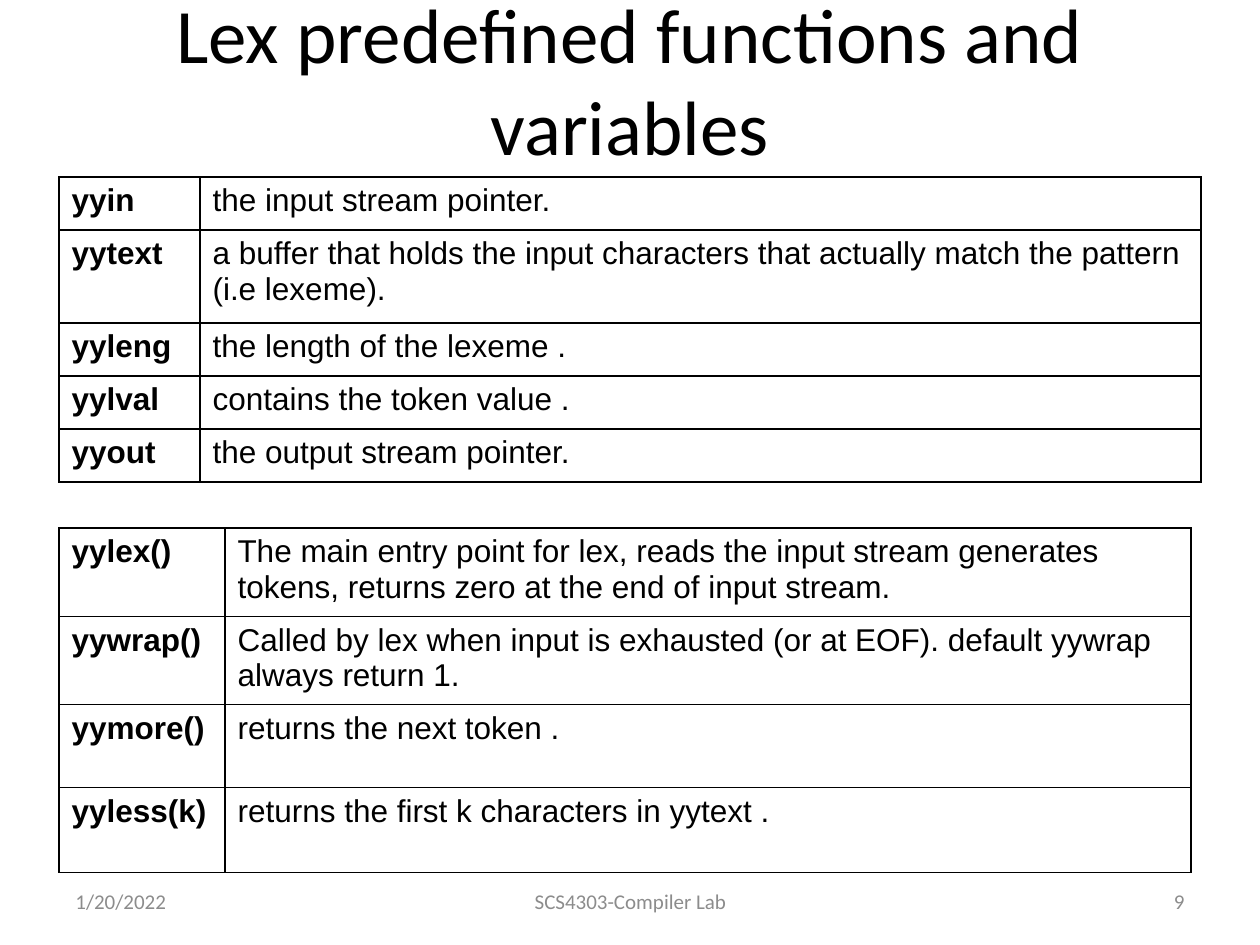
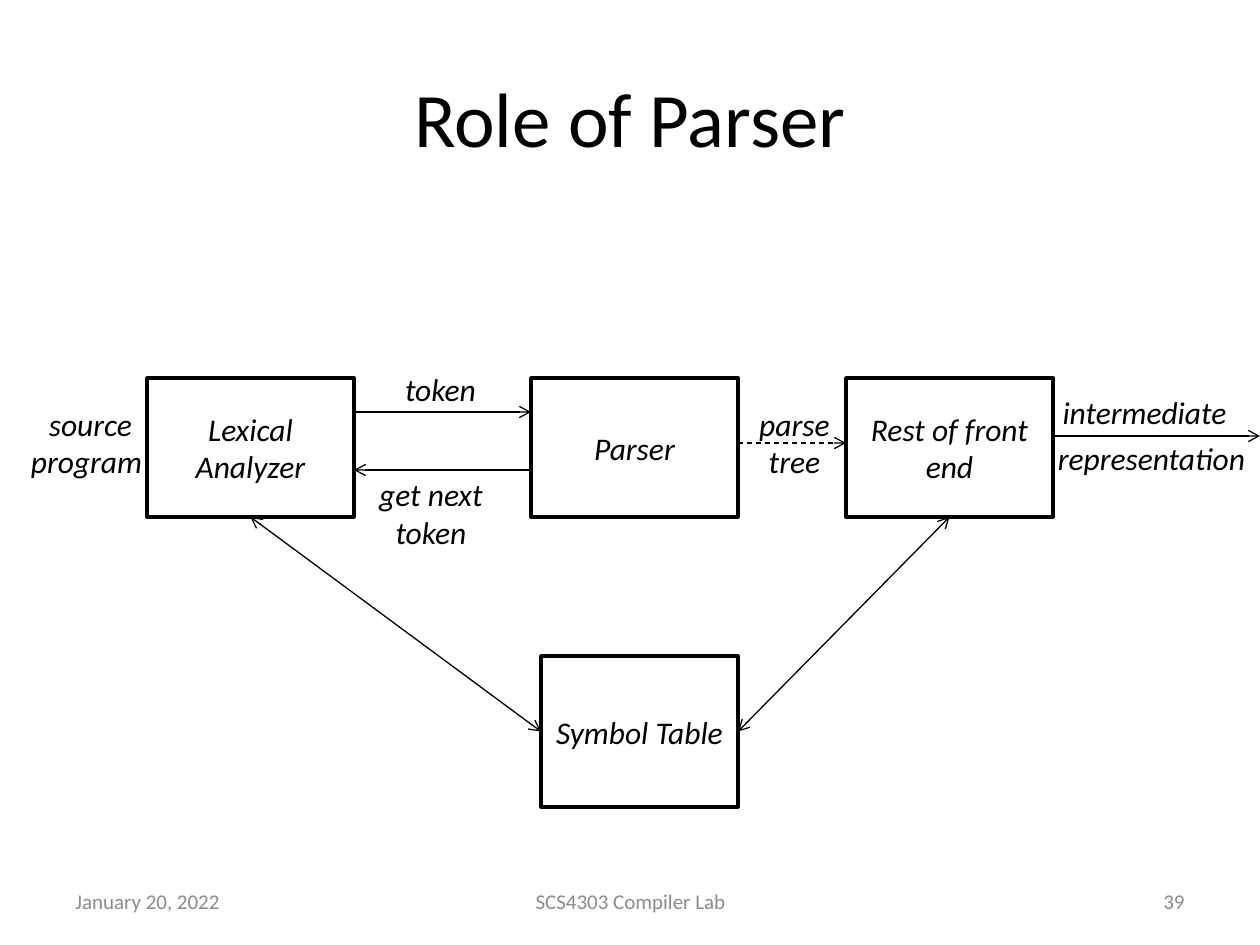
from collections import namedtuple

from lxml.etree import SubElement
from pptx import Presentation
from pptx.dml.color import RGBColor
from pptx.enum.dml import MSO_LINE
from pptx.enum.shapes import MSO_CONNECTOR, MSO_SHAPE
from pptx.enum.text import MSO_ANCHOR, MSO_AUTO_SIZE, PP_ALIGN
from pptx.oxml.ns import qn
from pptx.util import Pt

EMU_PER_PX = 914400 / 126
COLORS = {"ink": "000000", "paper": "FFFFFF", "footer": "8C8C8C"}
Box = namedtuple("Box", "left top width height")

VARIABLES = [
    ("yyin", "the input stream pointer.", 53),
    ("yytext", "a buffer that holds the input characters that actually match "
               "the pattern (i.e lexeme).", 93),
    ("yyleng", "the length of the lexeme .", 53),
    ("yylval", "contains the token value .", 53),
    ("yyout", "the output stream pointer.", 53),
]
FUNCTIONS = [
    ("yylex()", "The main entry point for lex, reads the input stream generates "
                "tokens, returns zero at the end of input stream.", 88),
    ("yywrap()", "Called by lex when input is exhausted (or at EOF). default "
                 "yywrap always return 1.", 88),
    ("yymore()", "returns the next token .", 83),
    ("yyless(k)", "returns the first k characters in yytext .", 85),
]
LABELS = [
    ("source", 26, 21, 129),
    ("program", 13, 58, 147),
    ("token", 367, -14, 147),
    ("get next token", 338, 91, 186),
    ("parse", 721, 21, 147),
    ("tree", 721, 58, 147),
    ("intermediate", 1046, 9, 197),
    ("representation", 1043, 55, 217),
]


def px(length):
    """Turn a length in px into EMU."""
    return round(length * EMU_PER_PX)


def scaled(box):
    """Give the four lengths of a box in EMU."""
    return [px(length) for length in box]


def color(name):
    """Look up a named colour."""
    return RGBColor.from_string(COLORS[name])


def write(frame, text, size=18, font="Calibri", ink="ink", bold=False,
          italic=False, align=PP_ALIGN.LEFT, anchor=MSO_ANCHOR.TOP):
    """Put one formatted paragraph into a text frame."""
    frame.word_wrap = True
    frame.vertical_anchor = anchor
    paragraph = frame.paragraphs[0]
    paragraph.alignment = align
    run = paragraph.add_run()
    run.text = text
    run.font.size = Pt(size)
    run.font.name = font
    run.font.bold = bold
    run.font.italic = italic
    run.font.color.rgb = color(ink)


def add_text(slide, box, text, **style):
    """Add a text box."""
    write(slide.shapes.add_textbox(*scaled(box)).text_frame, text, **style)


def add_page(presentation, title, title_box, footers):
    """Add a slide with its title and the three footer texts."""
    slide = presentation.slides.add_slide(presentation.slide_layouts[5])
    shape = slide.shapes.title
    shape.left, shape.top, shape.width, shape.height = scaled(title_box)
    shape.text_frame.auto_size = MSO_AUTO_SIZE.NONE
    write(shape.text_frame, title, size=44, align=PP_ALIGN.CENTER,
          anchor=MSO_ANCHOR.MIDDLE)
    places = [(63, 294, PP_ALIGN.LEFT), (431, 399, PP_ALIGN.CENTER),
              (903, 294, PP_ALIGN.RIGHT)]
    for text, (left, width, align) in zip(footers, places):
        add_text(slide, Box(left, 876, width, 50), text, size=12, ink="footer",
                 align=align, anchor=MSO_ANCHOR.MIDDLE)
    return slide


def add_borders(cell):
    """Draw a thin line on each side of a table cell."""
    properties = cell._tc.get_or_add_tcPr()
    for side in ("a:lnL", "a:lnR", "a:lnT", "a:lnB"):
        line = SubElement(properties, qn(side), w=str(Pt(1)))
        fill = SubElement(line, qn("a:solidFill"))
        SubElement(fill, qn("a:srgbClr"), val=COLORS["ink"])


def add_glossary(slide, box, name_width, entries):
    """Add a table of names and their meanings."""
    table = slide.shapes.add_table(len(entries), 2, *scaled(box)).table
    table.first_row = table.horz_banding = False
    table.columns[0].width = px(name_width)
    table.columns[1].width = px(box.width - name_width)
    for row, (name, meaning, height) in enumerate(entries):
        table.rows[row].height = px(height)
        for column, text in enumerate((name, meaning)):
            cell = table.cell(row, column)
            add_borders(cell)
            cell.fill.solid()
            cell.fill.fore_color.rgb = color("paper")
            write(cell.text_frame, text, font="Arial", bold=column == 0)


def add_stage(slide, box, text):
    """Add an outlined rectangle for one part of the compiler."""
    shape = slide.shapes.add_shape(MSO_SHAPE.RECTANGLE, *scaled(box))
    shape.shadow.inherit = False
    shape.fill.solid()
    shape.fill.fore_color.rgb = color("paper")
    shape.line.color.rgb = color("ink")
    shape.line.width = Pt(2)
    write(shape.text_frame, text, italic=True, align=PP_ALIGN.CENTER,
          anchor=MSO_ANCHOR.MIDDLE)
    return shape


def add_arrow(slide, start=(0, 0), end=(0, 0), both_ways=False, dashed=False):
    """Add a straight arrow between two points."""
    connector = slide.shapes.add_connector(
        MSO_CONNECTOR.STRAIGHT, *scaled(start), *scaled(end))
    connector.line.color.rgb = color("ink")
    connector.line.width = Pt(0.75)
    if dashed:
        connector.line.dash_style = MSO_LINE.DASH
    properties = connector._element.spPr
    line = properties.find(qn("a:ln"))
    if both_ways:
        SubElement(line, qn("a:headEnd"), type="arrow")
    SubElement(line, qn("a:tailEnd"), type="arrow")
    SubElement(properties, qn("a:effectLst"))
    return connector


def link(slide, first, first_side, second, second_side):
    """Join two stages with a two-way arrow."""
    connector = add_arrow(slide, both_ways=True)
    connector.begin_connect(first, first_side)
    connector.end_connect(second, second_side)


def add_parser_diagram(slide, box):
    """Draw the parser, its neighbours and the symbol table."""
    lexer_left, parser_left, rest_left, width = 147, 531, 846, 207

    def point(x, y):
        """Place a point within the diagram."""
        return box.left + x, box.top + y

    lexer, _, rest = [
        add_stage(slide, Box(*point(left, 0), width, 139), text)
        for left, text in ((lexer_left, "Lexical Analyzer"),
                           (parser_left, "Parser"),
                           (rest_left, "Rest of front end"))]
    symbols = add_stage(slide, Box(*point(541, 278), 197, 151), "Symbol Table")

    lexer_right = lexer_left + width
    add_arrow(slide, point(lexer_right, 34), point(parser_left, 34))
    add_arrow(slide, point(parser_left, 92), point(lexer_right, 92))
    add_arrow(slide, point(parser_left + width, 65), point(rest_left, 65),
              dashed=True)
    add_arrow(slide, point(rest_left + width, 58), point(box.width, 58))
    link(slide, lexer, 2, symbols, 1)
    link(slide, symbols, 3, rest, 2)

    for text, left, top, label_width in LABELS:
        add_text(slide, Box(*point(left, top), label_width, 60), text,
                 italic=True, align=PP_ALIGN.CENTER)


def main():
    """Build and save both slides."""
    presentation = Presentation()
    presentation.slide_width, presentation.slide_height = px(1260), px(945)

    slide = add_page(presentation, "Lex predefined functions and variables",
                     Box(63, 0, 1134, 158),
                     ("1/20/2022", "SCS4303-Compiler Lab", "9"))
    add_glossary(slide, Box(59, 177, 1142, 305), 141, VARIABLES)
    add_glossary(slide, Box(59, 528, 1132, 344), 166, FUNCTIONS)

    slide = add_page(presentation, "Role of Parser", Box(63, 38, 1134, 158),
                     ("January 20, 2022", "SCS4303 Compiler Lab", "39"))
    add_parser_diagram(slide, Box(0, 378, 1260, 429))
    presentation.save("out.pptx")


if __name__ == "__main__":
    main()
